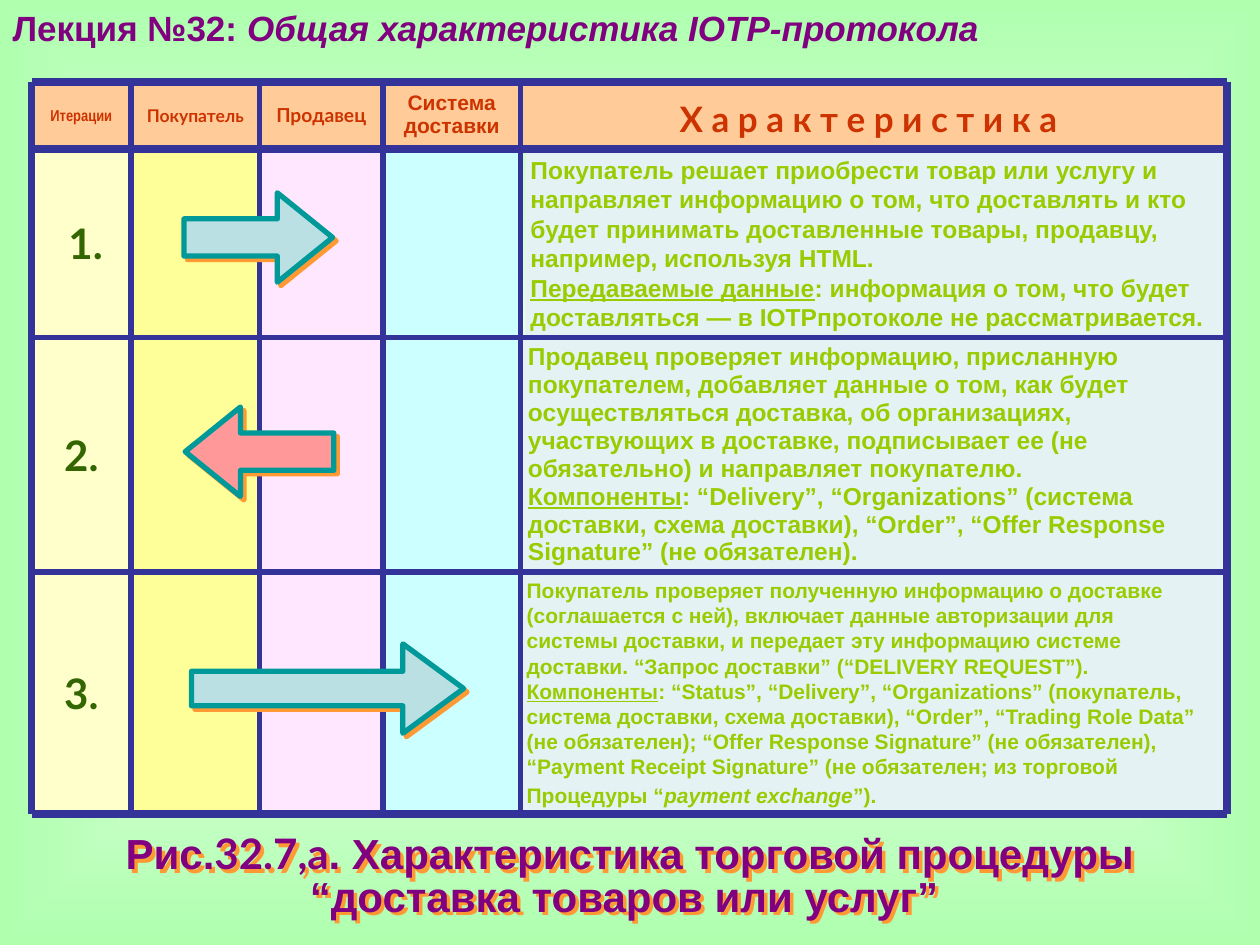
from lxml import etree
from pptx import Presentation
from pptx import util as u
from pptx.dml.color import RGBColor
from pptx.enum import shapes, text
from pptx.oxml.ns import qn

INK = {
    "white": "FFFFFF", "mint": "AFFFAF", "plum": "800080", "rust": "CC3300",
    "moss": "336600", "lime": "99CC00", "navy": "333399", "teal": "009999",
    "amber": "FF9933", "peach": "FFCC99", "cream": "FFFFCC", "lemon": "FFFF99",
    "pink": "FFE7FF", "aqua": "CCFFFF", "mist": "E4F2F4", "rose": "FF9999",
    "sky": "BBE0E3",
}
XS = [0.25, 1.04, 2.06, 3.04, 4.13, 9.74]
YS = [0.65, 1.18, 2.68, 4.54, 6.46]
THIN, BOLD = 3, 4.5
UNDER = {"underline": True}
SLANT = {"italic": True}

TITLE = [[("Лекция №32: ", {}), ("Общая характеристика IOTP-протокола", SLANT)]]
CAPTION = [
    [("Рис.", {}), ("32.7,а", {"name": "Lato"}), (". Характеристика торговой процедуры", {})],
    "“доставка товаров или услуг” ",
]
HEADS = [
    (["Итерации"], "Arial Narrow", 9),
    (["Покупатель"], "Lato", 10),
    (["Продавец"], "Lato", 11),
    (["Система", "доставки"], "Arial", 12),
    ([[("Х а р а к т е р и с т и к а", {}), (" ", {"size": 24})]], "Lato", 20),
]
MARKS = [[[(" ", {"size": 20}), ("1.", {})]], ["2."], ["3."]]
LANES = ["lemon", "pink", "aqua"]
BODIES = [
    (4.17, 14, 1, [
        "Покупатель решает приобрести товар или услугу и",
        "направляет информацию о том, что доставлять и кто",
        "будет принимать доставленные товары, продавцу,",
        "например, используя HTML.",
        [("Передаваемые данные", UNDER), (": информация о том, что будет", {})],
        "доставляться — в IOTPпротоколе не рассматривается.",
    ]),
    (4.15, 14, 0.95, [
        "Продавец проверяет информацию, присланную",
        "покупателем, добавляет данные о том, как будет",
        "осуществляться доставка, об организациях,",
        "участвующих в доставке, подписывает ее (не",
        "обязательно) и направляет покупателю.",
        [("Компоненты", UNDER), (": “Delivery”, “Organizations” (система", {})],
        "доставки, схема доставки), “Order”, “Offer Response",
        "Signature” (не обязателен).",
    ]),
    (4.14, 12, 1, [
        "Покупатель проверяет полученную информацию о доставке",
        "(соглашается с ней), включает данные авторизации для",
        "системы доставки, и передает эту информацию системе",
        "доставки. “Запрос доставки” (“DELIVERY REQUEST”).",
        [("Компоненты", UNDER), (": “Status”, “Delivery”, “Organizations” (покупатель,", {})],
        "система доставки, схема доставки), “Order”, “Trading Role Data”",
        "(не обязателен); “Offer Response Signature” (не обязателен),",
        "“Payment Receipt Signature” (не обязателен; из торговой",
        [("Процедуры “", {}), ("payment exchange", SLANT), ("”).", {}),
         (" ", {"size": 14, "bold": False})],
    ]),
]
ARROWS = [
    (1.46, 1.53, 1.18, "sky", False, (0.416, 0.618)),
    (1.47, 3.23, 1.18, "rose", True, (0.416, 0.618)),
    (1.52, 5.11, 2.16, "sky", False, (0.387, 0.679)),
]


def tint(key):
    return RGBColor.from_string(INK[key])


def write(shape, paras, look, align="LEFT", gap=1, pad=0.04, anchor="MIDDLE"):
    frame = shape.text_frame
    frame.word_wrap = True
    frame.auto_size = text.MSO_AUTO_SIZE.NONE
    frame.vertical_anchor = text.MSO_ANCHOR[anchor]
    if pad is not None:
        for side in ("left", "top", "right", "bottom"):
            setattr(frame, "margin_" + side, u.Inches(pad))
    for i, para in enumerate(paras):
        p = frame.add_paragraph() if i else frame.paragraphs[0]
        p.alignment = text.PP_ALIGN[align]
        p.line_spacing = gap
        p.space_before = u.Pt(0)
        for words, extra in [(para, {})] if isinstance(para, str) else para:
            run = p.add_run()
            run.text = words
            for key, val in {"bold": True, **look, **extra}.items():
                if key == "color":
                    run.font.color.rgb = tint(val)
                else:
                    setattr(run.font, key, u.Pt(val) if key == "size" else val)


def box(slide, kind, area, fill):
    shape = slide.shapes.add_shape(kind, *map(u.Inches, area))
    shape.shadow.inherit = False
    shape.fill.solid()
    shape.fill.fore_color.rgb = tint(fill)
    shape.line.fill.background()
    return shape


def cell(slide, col, row, fill, end=None, left=None):
    x = XS[col] if left is None else left
    y = YS[row]
    area = (x, y, XS[col + 1] - x, YS[end or row + 1] - y)
    return box(slide, shapes.MSO_SHAPE.RECTANGLE, area, fill)


def rule(slide, ends, width):
    line = slide.shapes.add_connector(shapes.MSO_CONNECTOR.STRAIGHT, *map(u.Inches, ends))
    line.line.color.rgb = tint("navy")
    line.line.width = u.Pt(width)
    etree.SubElement(line._element.spPr, qn("a:effectLst"))


def shade(shape):
    shape.shadow.inherit = False
    glow = etree.SubElement(shape._element.spPr.find(qn("a:effectLst")), qn("a:outerShdw"),
                            dist=str(u.Pt(2.8)), dir="2700000", algn="ctr", rotWithShape="0")
    etree.SubElement(glow, qn("a:srgbClr"), val=INK["amber"])


def paint(slide):
    fill = slide.background.fill
    fill.gradient()
    for stop, key in zip(fill.gradient_stops, ("white", "mint")):
        stop.color.rgb = tint(key)
    grad = slide._element.find(".//" + qn("a:gradFill"))
    grad.remove(grad.find(qn("a:lin")))
    way = etree.SubElement(grad, qn("a:path"))
    way.set("path", "shape")
    etree.SubElement(way, qn("a:fillToRect"), l="50000", t="50000", r="50000", b="50000")


def main():
    deck = Presentation()
    deck.slide_width, deck.slide_height = u.Inches(10), u.Inches(7.5)
    slide = deck.slides.add_slide(deck.slide_layouts[5])
    paint(slide)

    title = slide.shapes.title
    for key, val in {"left": 0, "top": 0, "width": 10, "height": 0.43}.items():
        setattr(title, key, u.Inches(val))
    plum = {"name": "Arial", "color": "plum"}
    write(title, TITLE, {**plum, "size": 20}, pad=None, anchor="TOP")

    note = slide.shapes.add_textbox(*map(u.Inches, (0, 6.63, 10, 0.68)))
    write(note, CAPTION, {**plum, "size": 24}, "CENTER", 0.85, 0)
    shade(note)

    for col, fill in enumerate(LANES, 1):
        cell(slide, col, 1, fill, end=4)
    for col, (paras, name, size) in enumerate(HEADS):
        look = {"name": name, "size": size, "color": "rust"}
        write(cell(slide, col, 0, "peach"), paras, look, "CENTER", 0.9 if len(paras) > 1 else 1)
    for row, (mark, body) in enumerate(zip(MARKS, BODIES), 1):
        look = {"name": "Lato", "size": 24, "color": "moss"}
        write(cell(slide, 0, row, "cream"), mark, look, "CENTER")
        left, size, gap, paras = body
        look = {"name": "Arial", "size": size, "color": "lime"}
        write(cell(slide, 4, row, "mist", left=left), paras, look, gap=gap)

    for i, y in enumerate(YS):
        rule(slide, (XS[0], y, XS[-1], y), BOLD if i in (0, 1, 4) else THIN)
    for x in XS:
        rule(slide, (x, YS[0], x, YS[-1]), BOLD if x in (XS[0], XS[-1]) else THIN)

    for x, y, wide, fill, flip, bends in ARROWS:
        arrow = box(slide, shapes.MSO_SHAPE.RIGHT_ARROW, (x, y, wide, 0.71), fill)
        arrow.line.color.rgb = tint("teal")
        arrow.line.width = u.Pt(3)
        for i, bend in enumerate(bends):
            arrow.adjustments[i] = bend
        if flip:
            arrow._element.spPr.find(qn("a:xfrm")).set("flipH", "1")
        shade(arrow)

    deck.save("out.pptx")


if __name__ == "__main__":
    main()
